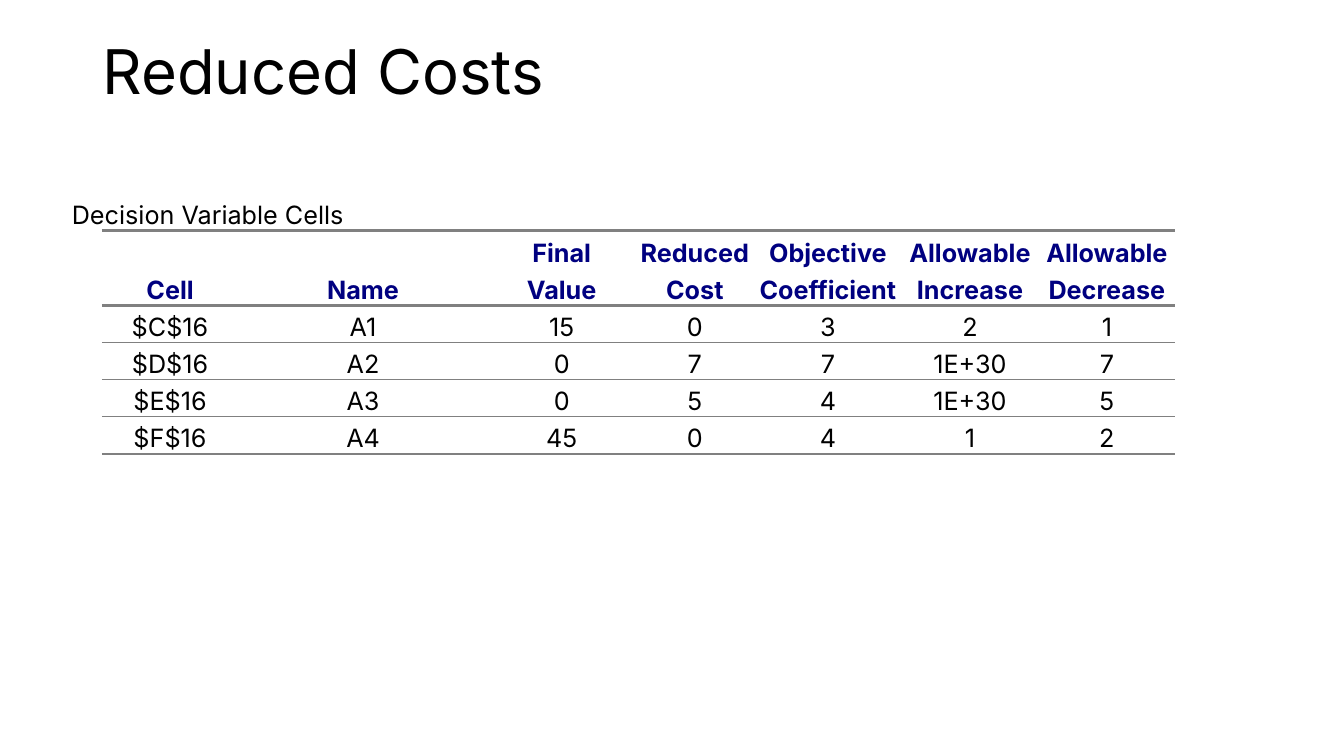
from pptx import Presentation
from pptx.dml.color import RGBColor
from pptx.enum.text import MSO_ANCHOR, MSO_AUTO_SIZE, PP_ALIGN
from pptx.oxml.ns import qn
from pptx.util import Cm, Pt
from lxml.etree import SubElement

FONT = "Inter"
BLACK, NAVY, GREY = "000000", "000080", "808080"
THICK, THIN = 2.25, 0.5

WIDTHS = [0.79, 3.43, 6.3, 3.71, 3, 3.71, 3.45, 3.45]
ROWS = [
    ["Decision Variable Cells"] + [""] * 7,
    ["", "", "", "Final", "Reduced", "Objective", "Allowable", "Allowable"],
    ["", "Cell", "Name", "Value", "Cost", "Coefficient", "Increase", "Decrease"],
    ["", "$C$16", "A1", "15", "0", "3", "2", "1"],
    ["", "$D$16", "A2", "0", "7", "7", "1E+30", "7"],
    ["", "$E$16", "A3", "0", "5", "4", "1E+30", "5"],
    ["", "$F$16", "A4", "45", "0", "4", "1", "2"],
]
# Rule weight above each row, then below the last one
RULES = [0, THICK, 0, THICK, THIN, THIN, THIN, THICK]


def color(font, code):
    font.color.rgb = RGBColor.from_string(code)


def style(para, size, code, bold=False):
    for run in para.runs:
        run.font.name = FONT
        run.font.size = Pt(size)
        run.font.bold = bold
        color(run.font, code)


def border(cell, top, bottom):
    props = cell._tc.get_or_add_tcPr()
    for side, weight in zip("LRTB", (0, 0, top, bottom)):
        line = SubElement(props, qn("a:ln" + side), w=str(Pt(weight)))
        if weight:
            fill = SubElement(line, qn("a:solidFill"))
            SubElement(fill, qn("a:srgbClr"), val=GREY)
        else:
            SubElement(line, qn("a:noFill"))


def add_title(slide, text, left, top, width, height):
    title = slide.shapes.title
    title.left, title.top = Cm(left), Cm(top)
    title.width, title.height = Cm(width), Cm(height)
    frame = title.text_frame
    frame.text = text
    frame.auto_size = MSO_AUTO_SIZE.NONE
    frame.vertical_anchor = MSO_ANCHOR.MIDDLE
    para = frame.paragraphs[0]
    para.alignment = PP_ALIGN.LEFT
    para.line_spacing = 0.9
    style(para, 44, BLACK)


def fill_cell(cell, text, row, col):
    cell.margin_left = cell.margin_right = cell.margin_top = Cm(0.03)
    cell.margin_bottom = 0
    cell.vertical_anchor = MSO_ANCHOR.BOTTOM
    cell.text = text
    para = cell.text_frame.paragraphs[0]
    para.alignment = PP_ALIGN.CENTER if row else PP_ALIGN.LEFT
    head = row in (1, 2)
    style(para, 18, NAVY if head else BLACK, head)
    # The narrow first column has no rules
    above, below = RULES[row:row + 2] if col else (0, 0)
    border(cell, above, below)
    cell.fill.background()


def add_grid(slide, left, top, width, height):
    table = slide.shapes.add_table(
        len(ROWS), len(WIDTHS), Cm(left), Cm(top), Cm(width), Cm(height)).table
    table.first_row = table.horz_banding = False
    for column, size in zip(table.columns, WIDTHS):
        column.width = Cm(size * width / sum(WIDTHS))
    for r, texts in enumerate(ROWS):
        table.rows[r].height = Cm(height / len(ROWS))
        for c, text in enumerate(texts):
            fill_cell(table.cell(r, c), text, r, c)
    # Caption spans the first three columns
    table.cell(0, 0).merge(table.cell(0, 2))


deck = Presentation()
deck.slide_width, deck.slide_height = Cm(33.87), Cm(19.05)
slide = deck.slides.add_slide(deck.slide_layouts[5])
add_title(slide, "Reduced Costs", 2.33, 0.03, 29.21, 3.68)
add_grid(slide, 1.78, 4.88, 27.84, 6.56)
deck.save("out.pptx")
